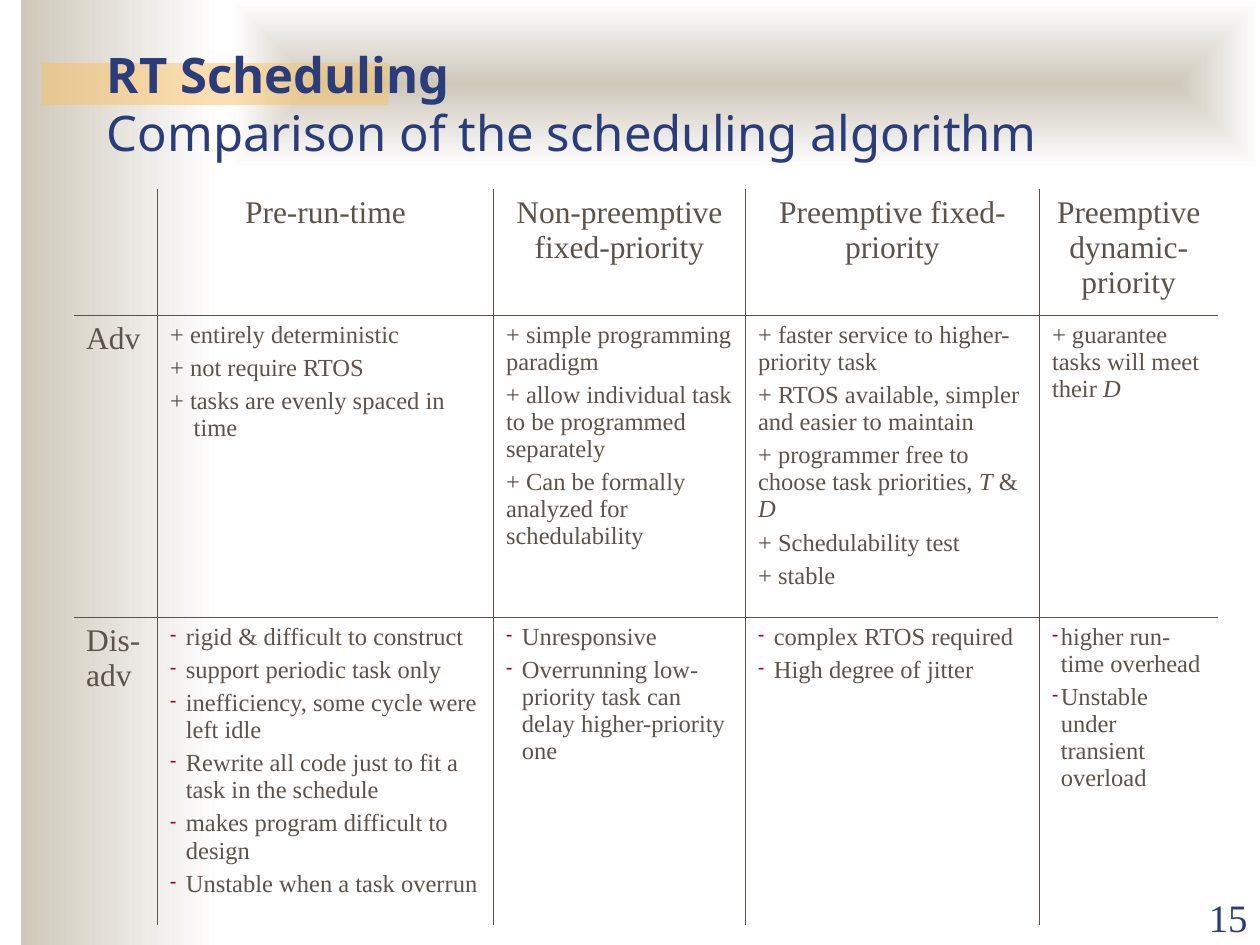
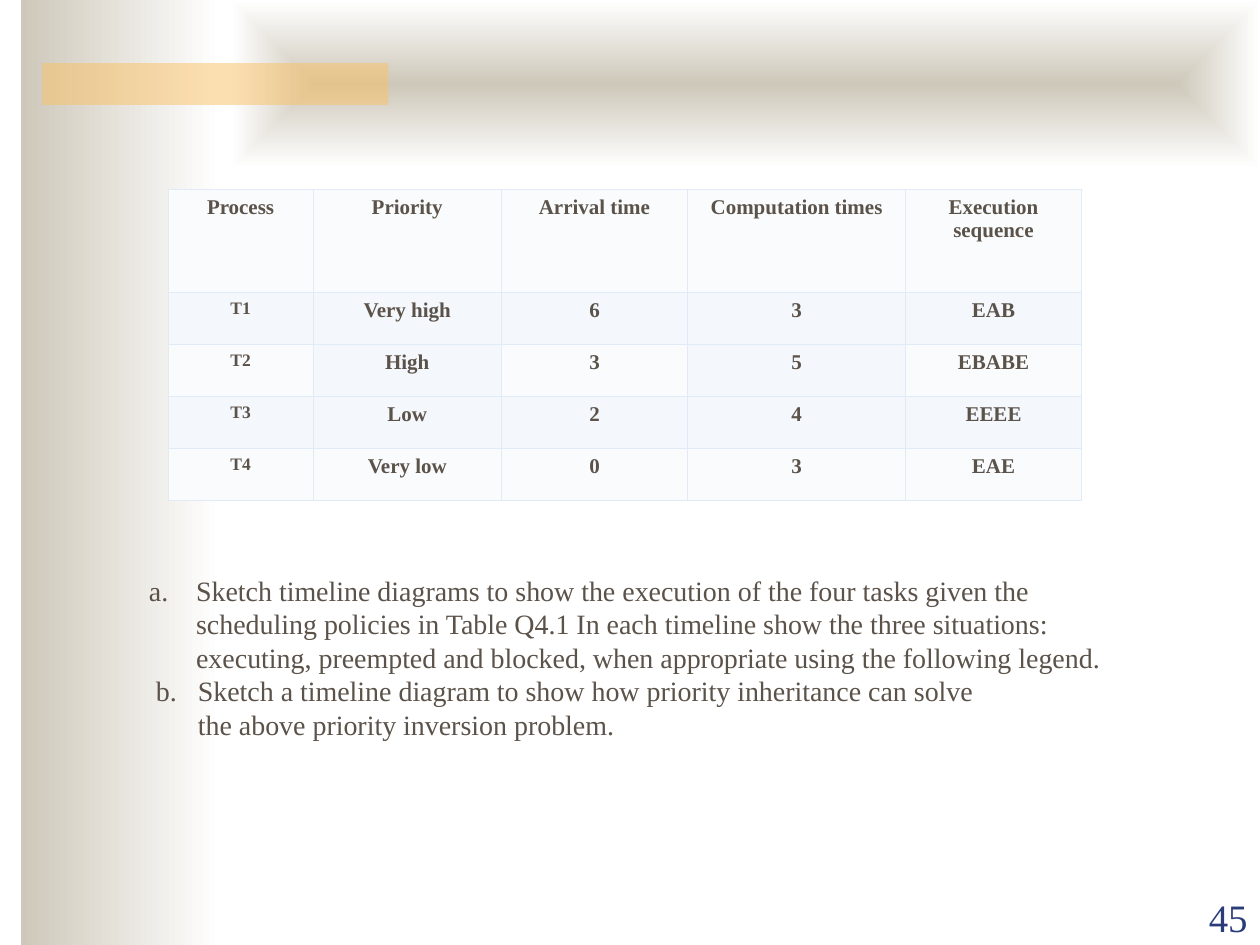
"""Build two real-time scheduling slides: an algorithm comparison and an exercise."""
from lxml import etree
from pptx import Presentation
from pptx.dml.color import RGBColor
from pptx.enum import shapes, text
from pptx.oxml import parse_xml
from pptx.oxml.ns import nsdecls, qn
from pptx.util import Pt

COLORS = {
    "navy": "2A3D7A", "brown": "5B5249", "crimson": "A50021", "sand": "CEC8BA",
    "white": "FFFFFF", "amber": "FAC164", "grid": "E1EBF7", "pale": "F9FBFD", "tint": "F4F7FC",
}
SERIF = "Times New Roman"
SANS = "Noto Sans"
CENTER = text.PP_ALIGN.CENTER


def write_text(frame, lines, size, color="brown", font=SERIF, bold=False, align=None,
               space=0, hanging=0, bullet=None):
    """Write one paragraph per line; words between asterisks become italic."""
    frame.word_wrap = True
    for index, line in enumerate(lines):
        paragraph = frame.paragraphs[0] if index == 0 else frame.add_paragraph()
        properties = paragraph._p.get_or_add_pPr()
        if hanging:
            properties.set("marL", str(Pt(hanging)))
            properties.set("indent", str(-Pt(hanging)))
        if bullet:
            properties.append(parse_xml(
                f'<a:buClr {nsdecls("a")}><a:srgbClr val="{COLORS["crimson"]}"/></a:buClr>'))
            etree.SubElement(properties, qn("a:buSzPct")).set("val", "75000")
            etree.SubElement(properties, qn("a:buChar")).set("char", bullet)
        paragraph.alignment = align
        paragraph.space_before = Pt(space if index else 0)
        opening, *marked_parts = line.split("*")
        paragraph.text = opening
        for part, words in enumerate(marked_parts):
            if words:
                run = paragraph.add_run()
                run.text = words
                run.font.italic = part % 2 == 0
        for run in paragraph.runs:
            run.font.name = font
            run.font.size = Pt(size)
            run.font.bold = bold
            run.font.color.rgb = RGBColor.from_string(COLORS[color])


def draw_borders(cell, color, sides):
    """Draw thin lines on the given sides of a cell and clear the others."""
    properties = cell._tc.get_or_add_tcPr()
    for side in "LRTB":
        fill = (f'<a:solidFill><a:srgbClr val="{COLORS[color]}"/></a:solidFill>'
                if side in sides else "<a:noFill/>")
        properties.append(parse_xml(
            f'<a:ln{side} {nsdecls("a")} w="{Pt(0.45)}">{fill}</a:ln{side}>'))


presentation = Presentation()
presentation.slide_width = Pt(720)
presentation.slide_height = Pt(540)

slides = []
for number in ("15", "45"):
    slide = presentation.slides.add_slide(presentation.slide_layouts[6])
    slides.append(slide)
    bands = []
    for left, top, width, height in ((12, 0, 114, 540), (132, 0, 588, 96), (24, 36, 198, 24)):
        band = slide.shapes.add_shape(
            shapes.MSO_SHAPE.RECTANGLE, Pt(left), Pt(top), Pt(width), Pt(height))
        band.shadow.inherit = False
        band.line.fill.background()
        bands.append(band)
    side_band, top_band, accent_bar = bands

    for band in (side_band, top_band):
        band.fill.gradient()
        band.fill.gradient_angle = 0
        for stop, color in zip(band.fill.gradient_stops, ("sand", "white")):
            stop.color.rgb = RGBColor.from_string(COLORS[color])
    linear = top_band._element.spPr.find(qn("a:gradFill")).find(qn("a:lin"))
    linear.getparent().replace(linear, parse_xml(
        f'<a:path {nsdecls("a")} path="rect">'
        '<a:fillToRect l="50000" t="50000" r="50000" b="50000"/></a:path>'))

    accent_bar.fill.solid()
    accent_bar.fill.fore_color.rgb = RGBColor.from_string(COLORS["amber"])
    accent_color = accent_bar._element.spPr.find(qn("a:solidFill"))[0]
    etree.SubElement(accent_color, qn("a:alpha")).set("val", "50000")

    number_box = slide.shapes.add_textbox(Pt(648), Pt(505), Pt(72), Pt(36))
    number_box.text_frame.vertical_anchor = text.MSO_ANCHOR.BOTTOM
    write_text(number_box.text_frame, [number], 22.2, "navy", align=text.PP_ALIGN.RIGHT)

comparison_slide, exercise_slide = slides

title_box = comparison_slide.shapes.add_textbox(Pt(54), Pt(18), Pt(612), Pt(78))
title_box.text_frame.vertical_anchor = text.MSO_ANCHOR.BOTTOM
write_text(title_box.text_frame, ["RT Scheduling\vComparison of the scheduling algorithm"],
           28, "navy", SANS)
title_box.text_frame.paragraphs[0].runs[0].font.bold = True

algorithms = [
    ("Pre-run-time",
     ["+ entirely deterministic", "+ not require RTOS", "+ tasks are evenly spaced in time"],
     ["rigid & difficult to construct", "support periodic task only",
      "inefficiency, some cycle were left idle",
      "Rewrite all code just to fit a task in the schedule",
      "makes program difficult to design", "Unstable when a task overrun"]),
    ("Non-preemptive fixed-priority",
     ["+ simple programming paradigm", "+ allow individual task to be programmed separately",
      "+ Can be formally analyzed for schedulability"],
     ["Unresponsive", "Overrunning low-priority task can delay higher-priority one"]),
    ("Preemptive fixed-priority",
     ["+ faster service to higher-priority task",
      "+ RTOS available, simpler and easier to maintain",
      "+ programmer free to choose task priorities, *T* & *D*",
      "+ Schedulability test", "+ stable"],
     ["complex RTOS required", "High degree of jitter"]),
    ("Preemptive dynamic-priority",
     ["+ guarantee tasks will meet their *D*"],
     ["higher run-time overhead", "Unstable under transient overload"]),
]
comparison = comparison_slide.shapes.add_table(3, 5, Pt(42), Pt(108), Pt(654), Pt(420)).table
comparison.first_row = comparison.horz_banding = False
for column, width in zip(comparison.columns, (48, 192, 144, 168, 102)):
    column.width = Pt(width)
for row, height in zip(comparison.rows, (72, 172.5, 175.5)):
    row.height = Pt(height)
for row in range(3):
    for column in range(5):
        cell = comparison.cell(row, column)
        sides = ("L" * (column > 0) + "R" * (column < 4) + "T" * (row > 0) + "B" * (row < 2))
        draw_borders(cell, "brown", sides)
        cell.fill.background()
for row, label in ((1, "Adv"), (2, "Dis-adv")):
    write_text(comparison.cell(row, 0).text_frame, [label], 18)
for column, (name, advantages, drawbacks) in enumerate(algorithms, start=1):
    write_text(comparison.cell(0, column).text_frame, [name], 18, align=CENTER)
    write_text(comparison.cell(1, column).text_frame, advantages, 14, space=3.5,
               hanging=13.5 if column == 1 else 0)
    write_text(comparison.cell(2, column).text_frame, drawbacks, 14, space=3.5,
               hanging=5 if column == 4 else 9, bullet="-")

question_box = exercise_slide.shapes.add_textbox(Pt(78), Pt(324), Pt(570), Pt(142))
write_text(question_box.text_frame, [
    "Sketch timeline diagrams to show the execution of the four tasks given the scheduling "
    "policies in Table Q4.1 In each timeline show the three situations: executing, preempted "
    "and blocked, when appropriate using the following legend.",
    "Sketch a timeline diagram to show how priority inheritance can solve\v"
    "the above priority inversion problem.",
], 16)
questions = question_box.text_frame.paragraphs
for start, (question, margin, hanging) in enumerate(zip(questions, (27, 28), (27, 24)), start=1):
    properties = question._p.get_or_add_pPr()
    properties.set("marL", str(Pt(margin)))
    properties.set("indent", str(-Pt(hanging)))
    numbering = etree.SubElement(properties, qn("a:buAutoNum"))
    numbering.set("type", "alphaLcPeriod")
    numbering.set("startAt", str(start))

process_rows = [
    ("Process", "Priority", "Arrival time", "Computation times", "Execution sequence"),
    ("T1", "Very high", "6", "3", "EAB"),
    ("T2", "High", "3", "5", "EBABE"),
    ("T3", "Low", "2", "4", "EEEE"),
    ("T4", "Very low", "0", "3", "EAE"),
]
processes = exercise_slide.shapes.add_table(5, 5, Pt(96), Pt(108), Pt(522), Pt(178)).table
processes.first_row = processes.horz_banding = False
for column, width in zip(processes.columns, (83, 107.5, 106.5, 124.5, 100.5)):
    column.width = Pt(width)
for row, values in enumerate(process_rows):
    processes.rows[row].height = Pt(29.65 if row else 59.3)
    for column, value in enumerate(values):
        cell = processes.cell(row, column)
        cell.margin_left = cell.margin_right = Pt(5.4)
        draw_borders(cell, "grid", "LRTB")
        tinted = row % 2 == 1 or (row == 2 and column % 2 == 1)
        cell.fill.solid()
        cell.fill.fore_color.rgb = RGBColor.from_string(COLORS["tint" if tinted else "pale"])
        write_text(cell.text_frame, [value], 10 if row and column == 0 else 12,
                   bold=True, align=CENTER)

presentation.save("out.pptx")
